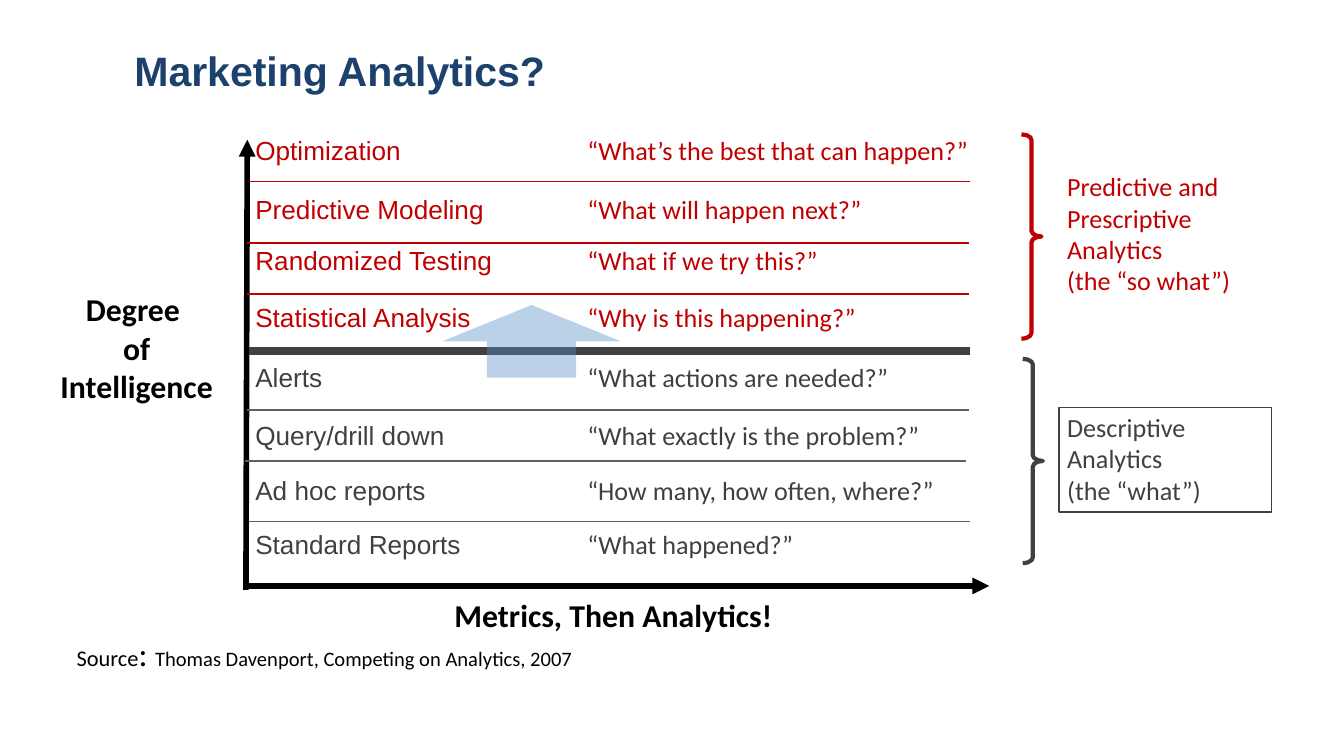
import pptx
import pptx.util
import pptx.dml.color
import pptx.enum.shapes
import pptx.enum.text
import pptx.oxml
import pptx.oxml.ns
from lxml import etree

Inches = pptx.util.Inches
RGBColor = pptx.dml.color.RGBColor
Shape = pptx.enum.shapes.MSO_SHAPE
Align = pptx.enum.text.PP_ALIGN
Anchor = pptx.enum.text.MSO_ANCHOR
qn = pptx.oxml.ns.qn

NAVY = RGBColor(0x1B, 0x41, 0x6C)
RED = RGBColor(0xC0, 0x00, 0x00)
DARK = RGBColor(0x40, 0x40, 0x40)
GREY = RGBColor(0x60, 0x60, 0x60)
BLUE = RGBColor(0x55, 0x8E, 0xC7)
BLACK = RGBColor(0, 0, 0)
WHITE = RGBColor(0xFF, 0xFF, 0xFF)

# Content
TITLE = "Marketing Analytics?"
VERTICAL_LABEL = ["Degree", " of", " Intelligence"]
HORIZONTAL_LABEL = "Metrics, Then Analytics!"
SOURCE = [("Source", 12), (": ", 18),
          ("Thomas Davenport, Competing on Analytics, 2007", 11)]
# Level, question, top, colour
LEVELS = [
    ("Optimization", "“What’s the best that can happen?”", 0.97, RED),
    ("Predictive Modeling", "“What will happen next?”", 1.41, RED),
    ("Randomized Testing", "“What if we try this?”", 1.79, RED),
    ("Statistical Analysis", "“Why is this happening?”", 2.21, RED),
    ("Alerts", "“What actions are needed?”", 2.66, DARK),
    ("Query/drill down", "“What exactly is the problem?”", 3.09, DARK),
    ("Ad hoc reports", "“How many, how often, where?”", 3.5, DARK),
    ("Standard Reports", "“What happened?”", 3.9, DARK),
]
# Left, y, colour, width
SEPARATORS = [
    (1.85, 1.35, RED, 1), (1.84, 1.81, RED, 1), (1.84, 2.19, RED, 1),
    (1.85, 2.61, DARK, 4.5),
    (1.84, 3.05, GREY, 1), (1.82, 3.43, GREY, 1), (1.85, 3.88, GREY, 1),
]
SEPARATOR_LENGTH = 5.37
# Lines, label box, border, brace position, colour
GROUPS = [
    (["Predictive and Prescriptive Analytics", "(the “so what”)"],
     (7.88, 1.24, 1.62, 1.02), None, (7.6, 1.0), RED),
    (["Descriptive Analytics", "(the “what”)"],
     (7.88, 3.03, 1.58, 0.78), DARK, (7.61, 2.67), DARK),
]


def write_text(shape, paragraphs, *, size=14, font="Calibri", color=BLACK, bold=False,
               align=Align.LEFT, insets=(0.06, 0.03)):
    """Fill a shape; a paragraph is a string or a list of (text, size) runs."""
    frame = shape.text_frame
    frame.word_wrap = True
    frame.vertical_anchor = Anchor.TOP
    frame.margin_left = frame.margin_right = Inches(insets[0])
    frame.margin_top = frame.margin_bottom = Inches(insets[1])
    for index, content in enumerate(paragraphs):
        paragraph = frame.add_paragraph() if index else frame.paragraphs[0]
        paragraph.alignment = align
        runs = [(content, size)] if isinstance(content, str) else content
        for text, points in runs:
            run = paragraph.add_run()
            run.text = text
            run.font.size = pptx.util.Pt(points)
            run.font.name = font
            run.font.bold = bold
            run.font.color.rgb = color


def add_text(slide, box, paragraphs, **text_format):
    shape = slide.shapes.add_textbox(*map(Inches, box))
    write_text(shape, paragraphs, **text_format)


def add_shape(slide, kind, box, *, fill=None, line=None, width=0.75):
    shape = slide.shapes.add_shape(kind, *map(Inches, box))
    shape.shadow.inherit = False
    if fill is None:
        shape.fill.background()
    else:
        shape.fill.solid()
        shape.fill.fore_color.rgb = fill
    if line is None:
        shape.line.fill.background()
    else:
        shape.line.color.rgb = line
        shape.line.width = pptx.util.Pt(width)
    return shape


def add_line(slide, ends, color, width, arrow=False):
    connector = slide.shapes.add_connector(
        pptx.enum.shapes.MSO_CONNECTOR.STRAIGHT, *map(Inches, ends))
    connector.line.color.rgb = color
    connector.line.width = pptx.util.Pt(width)
    if arrow:
        etree.SubElement(connector.line._get_or_add_ln(), qn("a:tailEnd"), type="triangle")
    etree.SubElement(connector._element.spPr, qn("a:effectLst"))


def main():
    presentation = pptx.Presentation()
    presentation.slide_width = Inches(10)
    presentation.slide_height = Inches(10 * 9 / 16)
    slide = presentation.slides.add_slide(presentation.slide_layouts[5])

    # Title and source
    title = slide.shapes.title
    title.left, title.top, title.width, title.height = map(Inches, (0.95, 0.29, 8.26, 0.53))
    write_text(title, [TITLE], size=22, font="Arial", color=NAVY, bold=True,
               insets=(0.05, 0.05))
    add_text(slide, (0.5, 4.67, 9, 0.38), [SOURCE], insets=(0.07, 0.04))

    # Axes and their labels
    add_line(slide, (1.82, 4.36, 7.36, 4.36), BLACK, 3, arrow=True)
    add_line(slide, (1.83, 4.39, 1.84, 1.04), BLACK, 3, arrow=True)
    axis_format = dict(size=17, bold=True, align=Align.CENTER)
    add_text(slide, (0.28, 2.13, 1.42, 0.93), VERTICAL_LABEL, **axis_format)
    add_text(slide, (1.84, 4.4, 5.45, 0.35), [HORIZONTAL_LABEL], **axis_format)

    # Braces and group labels
    for lines, box, border, brace_position, color in GROUPS:
        brace = add_shape(slide, Shape.RIGHT_BRACE, (*brace_position, 0.15, 1.52),
                          line=color, width=2.25)
        brace.adjustments[0] = 0.28
        label = add_shape(slide, Shape.RECTANGLE, box, fill=WHITE, line=border)
        write_text(label, lines, color=color)

    # Levels with their questions
    for level, question, top, color in LEVELS:
        add_text(slide, (1.84, top, 2.6, 0.3), [level], font="Arial", color=color)
        add_text(slide, (4.31, top, 3.25, 0.3), [question], color=color)
    for left, y, color, width in SEPARATORS:
        add_line(slide, (left, y, left + SEPARATOR_LENGTH, y), color, width)

    # Translucent upward arrow
    arrow = add_shape(slide, Shape.UP_ARROW, (3.29, 2.27, 1.33, 0.54), fill=BLUE)
    fill_color = arrow._element.spPr.find(qn("a:solidFill"))[0]
    etree.SubElement(fill_color, qn("a:alpha"), val="40000")

    presentation.save("out.pptx")


if __name__ == "__main__":
    main()
